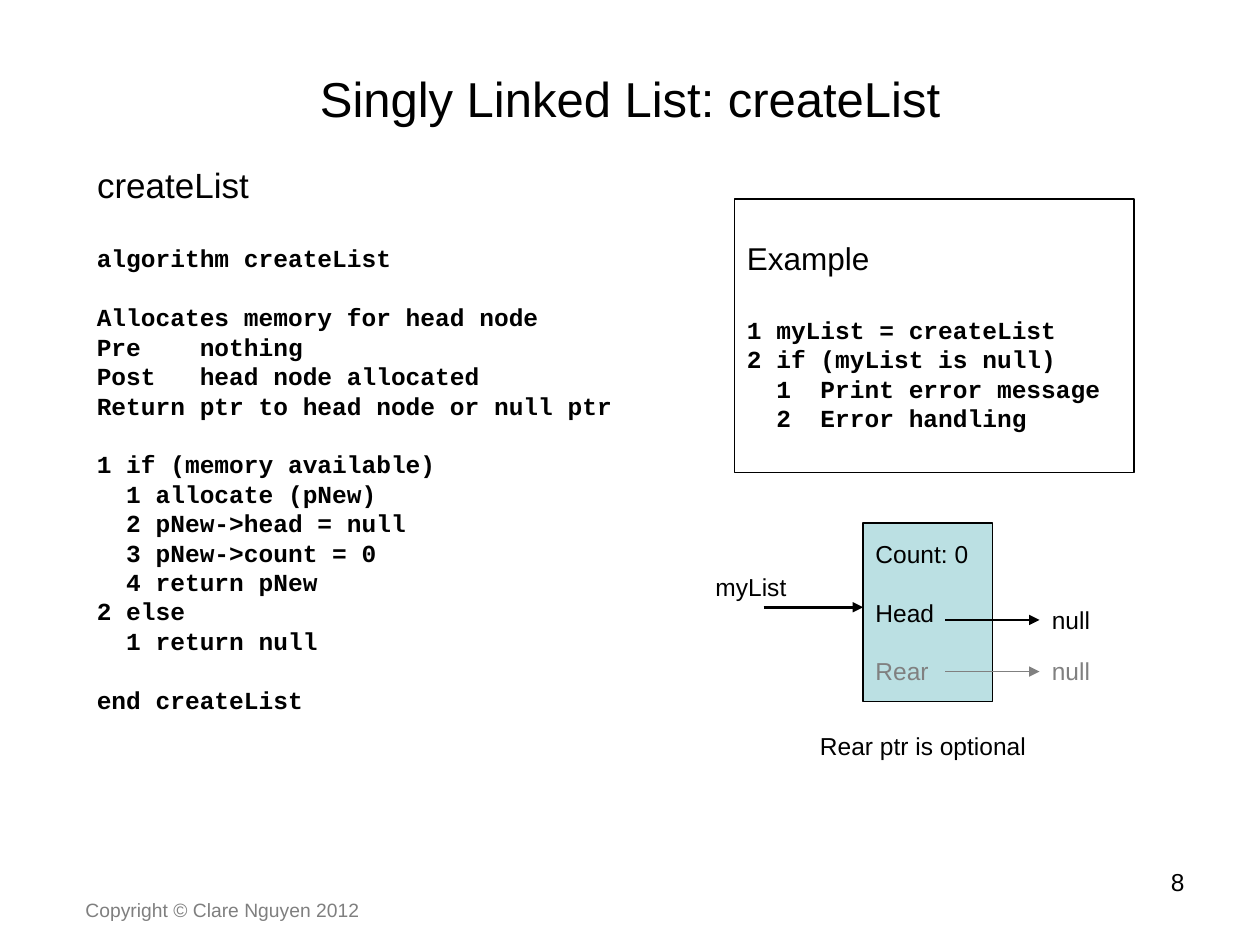
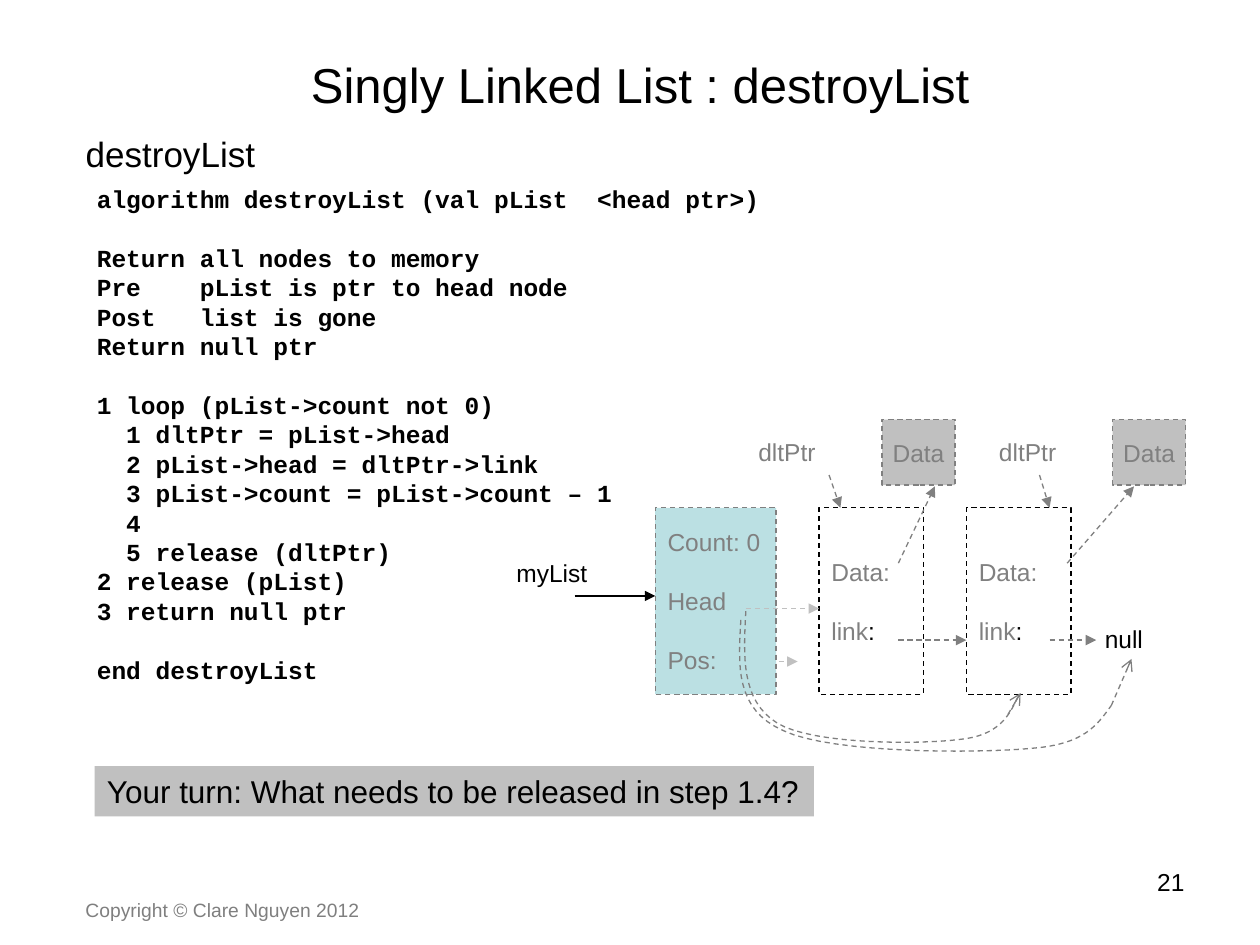
import lxml.etree
import pptx
import pptx.dml.color
import pptx.enum.dml
import pptx.enum.shapes
import pptx.enum.text
import pptx.oxml.ns
import pptx.util

Inches = pptx.util.Inches
Pt = pptx.util.Pt
ALIGN = pptx.enum.text.PP_ALIGN
ANCHOR = pptx.enum.text.MSO_ANCHOR

COLORS = {
    "black": "000000",
    "gray": "808080",
    "curve": "7F7F7F",
    "silver": "C0C0C0",
    "teal": "BBE0E3",
}
LINE_HEIGHT = 1.2
COPYRIGHT = "Copyright © Clare Nguyen 2012"
CODE = {"font": "Courier New", "bold": True}

CREATE_CODE = """algorithm createList

Allocates memory for head node
Pre    nothing
Post   head node allocated
Return ptr to head node or null ptr

1 if (memory available)
  1 allocate (pNew)
  2 pNew->head = null
  3 pNew->count = 0
  4 return pNew
2 else
  1 return null

end createList"""

EXAMPLE_CODE = """1 myList = createList
2 if (myList is null)
  1  Print error message
  2  Error handling"""

DESTROY_CODE = """algorithm destroyList (val pList  <head ptr>)

Return all nodes to memory
Pre    pList is ptr to head node
Post   list is gone
Return null ptr

1 loop (pList->count not 0)
  1 dltPtr = pList->head
  2 pList->head = dltPtr->link
  3 pList->count = pList->count – 1
  4
  5 release (dltPtr)
2 release (pList)
3 return null ptr

end destroyList"""


def rgb(color):
    return pptx.dml.color.RGBColor.from_string(COLORS[color])


def write_text(frame, lines, size=14, font="Arial", color="black", bold=False,
               align=ALIGN.LEFT, anchor=ANCHOR.TOP, wrap=True):
    """Fill a frame; a line is a string or a list of (text, overrides) runs.

    An empty line becomes space before the line that follows it.
    """
    frame.word_wrap = wrap
    frame.auto_size = pptx.enum.text.MSO_AUTO_SIZE.NONE
    frame.vertical_anchor = anchor
    paragraph, gap, line_size = None, 0, size
    for line in lines.split("\n") if isinstance(lines, str) else lines:
        if not line:
            gap += LINE_HEIGHT * line_size
            continue
        paragraph = frame.add_paragraph() if paragraph else frame.paragraphs[0]
        paragraph.alignment = align
        paragraph.space_before = Pt(gap)
        runs = [(line, {})] if isinstance(line, str) else line
        for text, overrides in runs:
            style = {"size": size, "font": font, "color": color, "bold": bold, **overrides}
            run = paragraph.add_run()
            run.text = text
            run.font.name = style["font"]
            run.font.size = Pt(style["size"])
            run.font.bold = style["bold"]
            run.font.color.rgb = rgb(style["color"])
            line_size = style["size"]
        paragraph.line_spacing = Pt(LINE_HEIGHT * line_size)
        gap = 0


def curve_points(start, segments, steps=16):
    """Points along a chain of cubic curves, each given by two controls and an end."""
    points = [start]
    for first, second, end in segments:
        for step in range(1, steps + 1):
            t = step / steps
            u = 1 - t
            points.append(tuple(
                u**3 * a + 3 * u * u * t * b + 3 * u * t * t * c + t**3 * d
                for a, b, c, d in zip(start, first, second, end)))
        start = end
    return points


class Deck:
    def __init__(self):
        self.presentation = pptx.Presentation()
        self.presentation.slide_width = Inches(10)
        self.presentation.slide_height = Inches(7.5)
        self.slide = None

    def add_slide(self, number, title, title_box, heading, body_box):
        layout = self.presentation.slide_layouts[1]
        self.slide = self.presentation.slides.add_slide(layout)
        title_shape, body = self.slide.placeholders
        self.place(title_shape, title_box)
        write_text(title_shape.text_frame, title, size=28,
                   align=ALIGN.CENTER, anchor=ANCHOR.MIDDLE)
        self.place(body, body_box)
        properties = body.text_frame.paragraphs[0]._p.get_or_add_pPr()
        properties.set("marL", "0")
        properties.set("indent", "0")
        lxml.etree.SubElement(properties, pptx.oxml.ns.qn("a:buNone"))
        write_text(body.text_frame, heading, size=20)
        self.text((7.17, 6.83, 2.33, 0.52), str(number), align=ALIGN.RIGHT)
        self.text((0.58, 7.08, 3.17, 0.19), COPYRIGHT, size=11, color="curve")

    def place(self, shape, box):
        shape.left, shape.top, shape.width, shape.height = map(Inches, box)

    def text(self, box, lines, **style):
        shape = self.slide.shapes.add_textbox(*map(Inches, box))
        write_text(shape.text_frame, lines, **style)

    def outline(self, line, color, width=0.75, dashed=False):
        line.color.rgb = rgb(color)
        line.width = Pt(width)
        if dashed:
            line.dash_style = pptx.enum.dml.MSO_LINE.DASH

    def box(self, box, lines, fill=None, line="black", dashed=False,
            anchor=ANCHOR.MIDDLE, **style):
        shape = self.slide.shapes.add_shape(
            pptx.enum.shapes.MSO_SHAPE.RECTANGLE, *map(Inches, box))
        shape.shadow.inherit = False
        if fill:
            shape.fill.solid()
            shape.fill.fore_color.rgb = rgb(fill)
        else:
            shape.fill.background()
        if line:
            self.outline(shape.line, line, dashed=dashed)
        else:
            shape.line.fill.background()
        write_text(shape.text_frame, lines, anchor=anchor, wrap=False, **style)

    def arrow(self, start, end, color="black", width=0.75, dashed=False, head="triangle"):
        connector = self.slide.shapes.add_connector(
            pptx.enum.shapes.MSO_CONNECTOR.STRAIGHT, *map(Inches, start + end))
        self.outline(connector.line, color, width, dashed)
        qn = pptx.oxml.ns.qn
        properties = connector._element.spPr
        lxml.etree.SubElement(properties.find(qn("a:ln")), qn("a:tailEnd"), type=head)
        lxml.etree.SubElement(properties, qn("a:effectLst"))

    def curve(self, start, segments):
        points = [(Inches(x), Inches(y)) for x, y in curve_points(start, segments)]
        builder = self.slide.shapes.build_freeform(*points[0])
        builder.add_line_segments(points[1:], close=False)
        shape = builder.convert_to_shape()
        shape.shadow.inherit = False
        shape.fill.background()
        self.outline(shape.line, "curve", dashed=True)


def build_create_list(deck):
    deck.add_slide(8, "Singly Linked List: createList", (0.5, 0.3, 9, 0.95),
                   "createList", (0.67, 1.25, 8.67, 4.95))
    deck.text((0.67, 1.88, 5, 3.84), CREATE_CODE, anchor=ANCHOR.MIDDLE, **CODE)
    deck.box((5.83, 1.58, 3.17, 2.17),
             [[("Example", {"size": 18, "font": "Arial", "bold": False})], "",
              *EXAMPLE_CODE.split("\n")], **CODE)

    deck.box((6.85, 4.15, 1.03, 1.42),
             ["Count: 0", "", "Head", "", [("Rear", {"color": "gray"})]], fill="teal")
    deck.arrow((6.06, 4.82), (6.85, 4.82), width=1.5)
    deck.text((5.58, 4.49, 1.11, 0.34), "myList")
    for pointer_y, color in ((4.92, "black"), (5.33, "gray")):
        deck.arrow((7.5, pointer_y), (8.25, pointer_y), color)
        deck.text((8.25, pointer_y - 0.17, 0.5, 0.34), "null", color=color, wrap=False)
    deck.text((6.41, 5.75, 1.83, 0.34), "Rear ptr is optional", wrap=False)


def build_destroy_list(deck):
    deck.add_slide(21, "Singly Linked List : destroyList", (0.58, 0.33, 9, 0.67),
                   "destroyList", (0.58, 1, 9, 6.08))
    deck.text((0.67, 1.41, 5.58, 4.07), DESTROY_CODE, anchor=ANCHOR.MIDDLE, **CODE)
    deck.arrow((4.56, 4.73), (5.2, 4.73), width=1.5)
    deck.text((4, 4.38, 1.07, 0.34), "myList")
    deck.text((8.67, 4.9, 0.64, 0.34), "null")

    released = {"color": "gray", "dashed": True}
    node_lines = ["Data:", "", [("link", {}), (":", {"color": "black"})]]
    # node left, data left, label left, then start and end x of each arrow
    nodes = (
        (6.5, 7, 5.92, (7.13, 7.42), (7.13, 7.67), (6.58, 6.67)),
        (7.67, 8.83, 7.83, (8.47, 9), (8.33, 8.7), (8.25, 8.33)),
    )
    for node_left, data_left, label_left, data_x, link_x, pointer_x in nodes:
        deck.box((data_left, 3.33, 0.58, 0.52), "Data", fill="silver", line="gray",
                 align=ALIGN.CENTER, **released)
        deck.box((node_left, 4.03, 0.83, 1.48), node_lines, **released)
        deck.text((label_left, 3.42, 0.65, 0.34), "dltPtr", color="gray", wrap=False)
        for (start_x, end_x), start_y, end_y in (
                (data_x, 4.47, 3.86), (link_x, 5.08, 5.08), (pointer_x, 3.77, 4.03)):
            deck.arrow((start_x, start_y), (end_x, end_y), **released)

    deck.arrow((5.75, 5.25), (6.33, 5.25), "silver", dashed=True)
    deck.box((0.75, 6.08, 5.71, 0.4), "Your turn: What needs to be released in step 1.4?",
             fill="silver", line=None, size=18, anchor=ANCHOR.TOP)
    deck.box((5.2, 4.03, 0.96, 1.48), ["Count: 0", "", "Head", "", "Pos:"],
             fill="teal", line="gray", **released)
    deck.arrow((5.92, 4.83), (6.5, 4.83), "silver", dashed=True)

    deck.curve((5.92, 4.85), [((5.9, 5.21), (5.88, 5.56), (6.17, 5.74)),
                              ((6.45, 5.91), (7.29, 5.91), (7.61, 5.87)),
                              ((7.93, 5.84), (8.01, 5.68), (8.08, 5.53))])
    deck.curve((5.88, 4.92), [((5.86, 5.28), (5.83, 5.63), (6.22, 5.8)),
                              ((6.6, 5.98), (7.75, 5.98), (8.18, 5.94)),
                              ((8.61, 5.91), (8.71, 5.75), (8.82, 5.6))])
    for start, end in (((8, 5.67), (8.1, 5.5)), ((8.82, 5.6), (8.98, 5.23))):
        deck.arrow(start, end, "curve", dashed=True, head="arrow")


def main():
    deck = Deck()
    build_create_list(deck)
    build_destroy_list(deck)
    deck.presentation.save("out.pptx")


if __name__ == "__main__":
    main()
